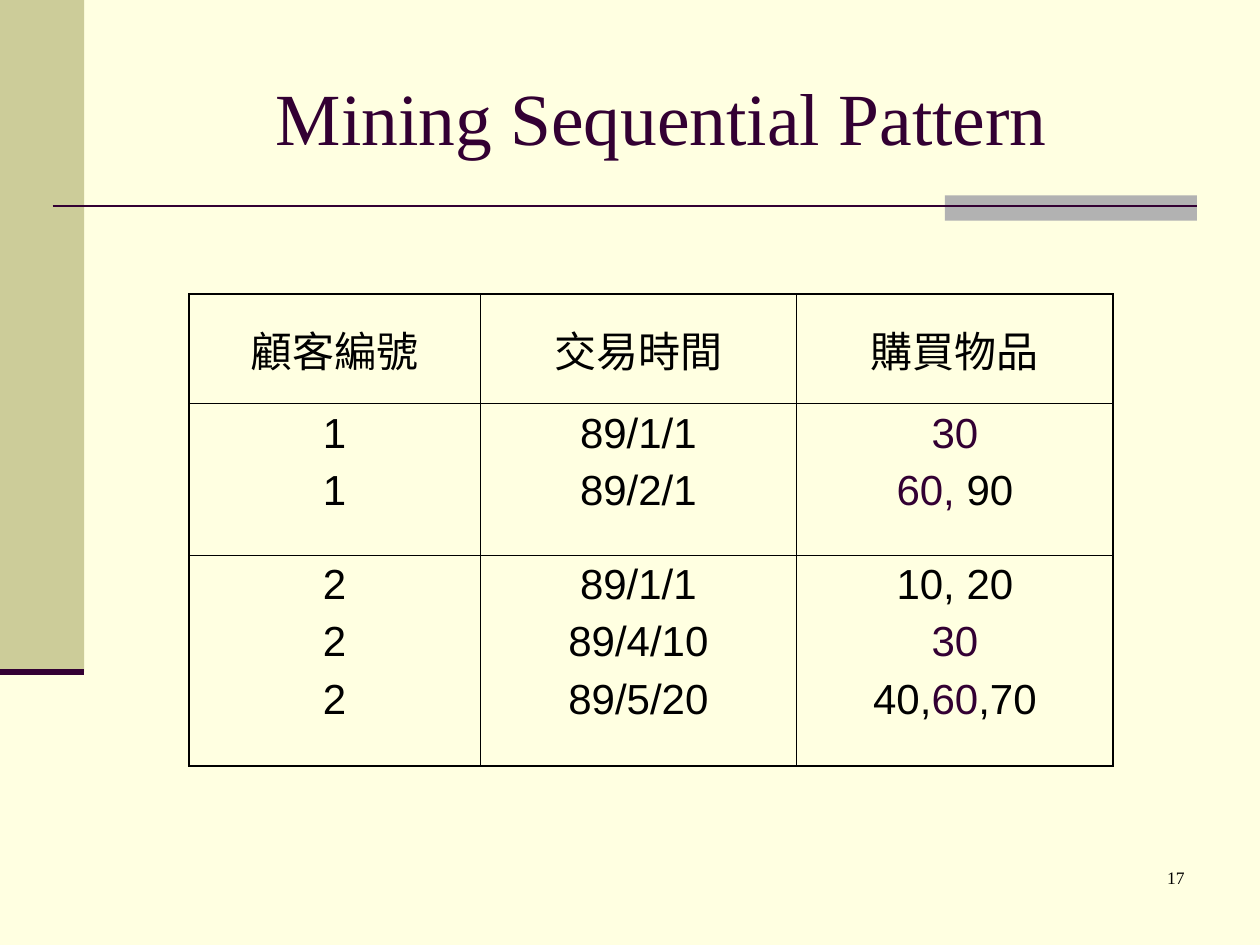
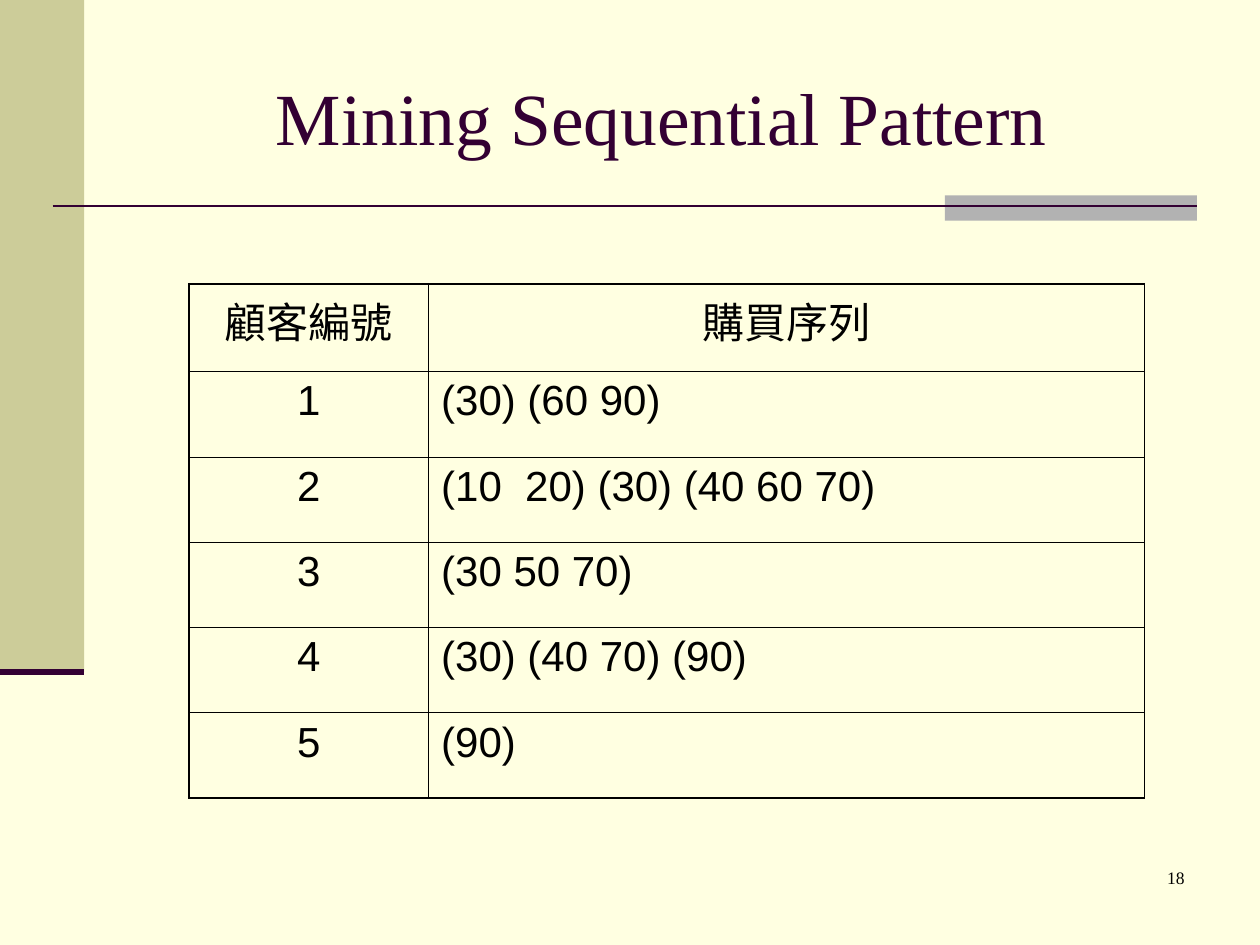
import pptx
import pptx.dml.color
import pptx.enum.shapes
import pptx.enum.text
import pptx.oxml
import pptx.oxml.ns
import pptx.util
from pptx.util import Cm

COLORS = {
    "background": "FFFFE1",
    "band": "CCCC99",
    "tab": "B2B2B2",
    "accent": "330033",
    "text": "000000",
}
TITLE_FONT = "Times New Roman"
TABLE_FONT = "Arial"
OUTER_BORDER, INNER_BORDER = 1.08, 0.45
ALIGN = pptx.enum.text.PP_ALIGN
ANCHOR = pptx.enum.text.MSO_ANCHOR

TITLE = "Mining Sequential Pattern"
TRANSACTIONS = [
    ["顧客編號", "交易時間", "購買物品"],
    ["1\n1", "89/1/1\n89/2/1", "*30*\n*60,* 90"],
    ["2\n2\n2", "89/1/1\n89/4/10\n89/5/20", "10, 20\n*30*\n40,*60*,70"],
]
SEQUENCES = [
    ["顧客編號", "購買序列"],
    ["1", "(30) (60 90)"],
    ["2", "(10  20) (30) (40 60 70)"],
    ["3", "(30 50 70)"],
    ["4", "(30) (40 70) (90)"],
    ["5", "(90)"],
]


def color(name):
    return pptx.dml.color.RGBColor.from_string(COLORS[name])


def format_font(font, name, size, color_name):
    font.name = name
    font.size = pptx.util.Pt(size)
    font.color.rgb = color(color_name)


def add_rectangle(slide, left, top, width, height, fill):
    shape = slide.shapes.add_shape(
        pptx.enum.shapes.MSO_SHAPE.RECTANGLE, Cm(left), Cm(top), Cm(width), Cm(height))
    shape.shadow.inherit = False
    shape.fill.solid()
    shape.fill.fore_color.rgb = color(fill)
    shape.line.fill.background()


def add_rule(slide, left, right, top, width):
    rule = slide.shapes.add_connector(
        pptx.enum.shapes.MSO_CONNECTOR.STRAIGHT, Cm(left), Cm(top), Cm(right), Cm(top))
    rule.line.color.rgb = color("accent")
    rule.line.width = pptx.util.Pt(width)
    rule._element.spPr.append(pptx.oxml.parse_xml(
        f"<a:effectLst {pptx.oxml.ns.nsdecls('a')}/>"))


def add_side_band(slide, width, height):
    add_rectangle(slide, 0, 0, width, height, "band")
    add_rule(slide, 0, width, height, 3.5)


def add_title_rule(slide, left, right, top):
    tab_width = 5.08
    add_rectangle(slide, right - tab_width, top - 0.21, tab_width, 0.51, "tab")
    add_rule(slide, left, right, top, 1.5)


def set_title(slide, left, top, width, height):
    title = slide.shapes.title
    title.left, title.top, title.width, title.height = map(Cm, (left, top, width, height))
    title.text_frame.text = TITLE
    title.text_frame.vertical_anchor = ANCHOR.MIDDLE
    paragraph = title.text_frame.paragraphs[0]
    paragraph.alignment = ALIGN.CENTER
    format_font(paragraph.runs[0].font, TITLE_FONT, 42, "accent")


def add_page_number(slide, left, top, width, height, number):
    box = slide.shapes.add_textbox(Cm(left), Cm(top), Cm(width), Cm(height))
    box.text_frame.word_wrap = True
    box.text_frame.text = str(number)
    paragraph = box.text_frame.paragraphs[0]
    paragraph.alignment = ALIGN.RIGHT
    format_font(paragraph.runs[0].font, TITLE_FONT, 10, "text")


def set_borders(cell, outer_sides):
    properties = cell._tc.get_or_add_tcPr()
    for index, side in enumerate("LRTB"):
        width = pptx.util.Pt(OUTER_BORDER if side in outer_sides else INNER_BORDER)
        properties.insert(index, pptx.oxml.parse_xml(
            f'<a:ln{side} {pptx.oxml.ns.nsdecls("a")} w="{width}"><a:solidFill>'
            f'<a:srgbClr val="{COLORS["text"]}"/></a:solidFill></a:ln{side}>'))


def fill_cell(cell, content, alignment):
    lines = content.split("\n")
    cell.text_frame.text = "\n".join("" for line in lines)
    for paragraph, line in zip(cell.text_frame.paragraphs, lines):
        paragraph.alignment = alignment
        paragraph.space_before = pptx.util.Pt(6)
        for index, part in enumerate(line.split("*")):
            if part:
                run = paragraph.add_run()
                run.text = part
                format_font(run.font, TABLE_FONT, 24, "accent" if index % 2 else "text")


def add_grid(slide, left, top, widths, heights, rows, body_alignments, header_anchor):
    table = slide.shapes.add_table(
        len(rows), len(widths), Cm(left), Cm(top), Cm(sum(widths)), Cm(sum(heights))).table
    table.first_row = False
    table.horz_banding = False
    for column, width in zip(table.columns, widths):
        column.width = Cm(width)
    for row, height in zip(table.rows, heights):
        row.height = Cm(height)
    last_row, last_column = len(rows) - 1, len(widths) - 1
    for r, contents in enumerate(rows):
        for c, content in enumerate(contents):
            cell = table.cell(r, c)
            cell.fill.background()
            cell.vertical_anchor = ANCHOR.TOP if r else header_anchor
            fill_cell(cell, content, body_alignments[c] if r else ALIGN.CENTER)
            edges = {"L": c == 0, "R": c == last_column, "T": r == 0, "B": r == last_row}
            set_borders(cell, [side for side, outer in edges.items() if outer])


def add_base_slide(presentation, number):
    slide = presentation.slides.add_slide(presentation.slide_layouts[5])
    add_side_band(slide, 1.7, 13.55)
    add_title_rule(slide, 1.06, 24.13, 4.15)
    set_title(slide, 2.54, 0.76, 21.59, 3.18)
    add_page_number(slide, 18.84, 17.36, 5.29, 1.27, number)
    return slide


def main():
    presentation = pptx.Presentation()
    presentation.slide_width, presentation.slide_height = Cm(25.4), Cm(19.05)
    background = presentation.slide_master.background.fill
    background.solid()
    background.fore_color.rgb = color("background")

    add_grid(add_base_slide(presentation, 17), 3.81, 5.93, [5.87, 6.38, 6.38],
             [2.21, 3.05, 4.25], TRANSACTIONS, [ALIGN.CENTER] * 3, ANCHOR.MIDDLE)
    add_grid(add_base_slide(presentation, 18), 3.81, 5.72, [4.83, 14.43],
             [1.77] + [1.72] * 5, SEQUENCES, [ALIGN.CENTER, ALIGN.LEFT], ANCHOR.TOP)
    presentation.save("out.pptx")


if __name__ == "__main__":
    main()
